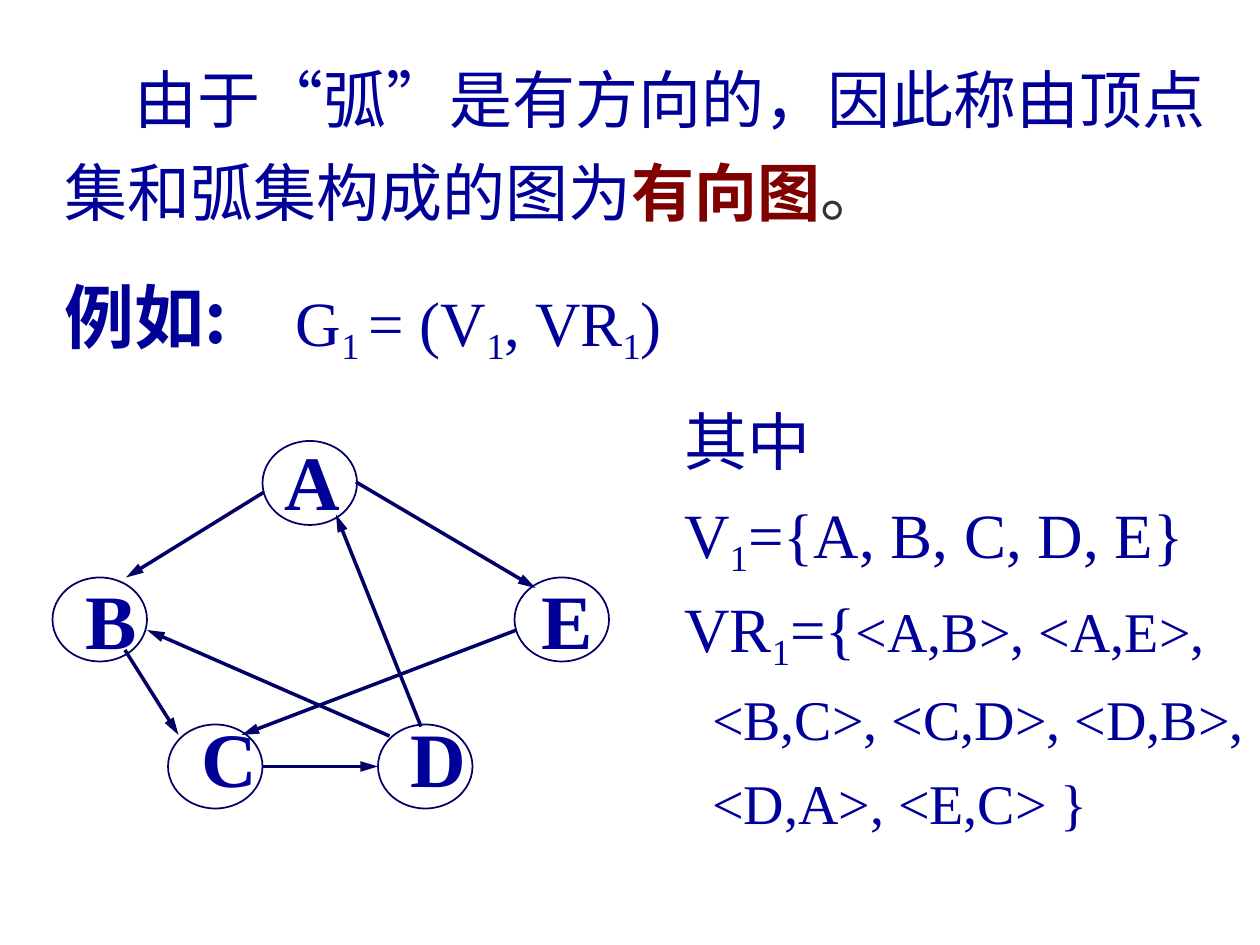
import pptx
import pptx.dml.color
import pptx.enum.shapes
import pptx.enum.text
import pptx.oxml
import pptx.oxml.ns
import pptx.util

COLORS = {"text": "000099", "line": "000066", "term": "800000", "stop": "333333"}
HAN = "Noto Sans CJK SC"
ROMAN = "Times New Roman"
COLUMNS, ROWS = 120, 90
NODE_WIDTH, NODE_HEIGHT = 9, 8


def color(name):
    return pptx.dml.color.RGBColor.from_string(COLORS[name])


def add_xml(parent, tag, **values):
    child = pptx.oxml.parse_xml(f"<{tag} {pptx.oxml.ns.nsdecls('a')}/>")
    for name, value in values.items():
        child.set(name, value)
    parent.append(child)


class GraphSlide:
    def __init__(self, deck):
        self.slide = deck.slides.add_slide(deck.slide_layouts[6])
        self.column = deck.slide_width / COLUMNS
        self.row = deck.slide_height / ROWS

    def place(self, *lengths):
        units = (self.column, self.row, self.column, self.row)
        return [pptx.util.Emu(round(length * unit)) for length, unit in zip(lengths, units)]

    def text(self, at, paragraphs, top=0.01):
        box = self.slide.shapes.add_textbox(*self.place(*at))
        frame = box.text_frame
        settings = {
            "word_wrap": True,
            "auto_size": pptx.enum.text.MSO_AUTO_SIZE.SHAPE_TO_FIT_TEXT,
            "margin_left": 0,
            "margin_right": 0,
            "margin_top": pptx.util.Inches(top),
            "margin_bottom": 0,
        }
        for name, value in settings.items():
            setattr(frame, name, value)
        for index, (layout, spans) in enumerate(paragraphs):
            para = frame.paragraphs[0] if index == 0 else frame.add_paragraph()
            self.paragraph(para, spans, **layout)

    def paragraph(self, para, spans, left=0.01, first=0, **layout):
        properties = para._p.get_or_add_pPr()
        properties.set("marL", str(pptx.util.Inches(left)))
        properties.set("indent", str(pptx.util.Inches(first)))
        for name, value in layout.items():
            setattr(para, name, value)
        for text, style in spans:
            self.span(para, text, **style)

    def span(self, para, text, ink="text", gap=0, base=0, **style):
        span = para.add_run()
        span.text = text
        for name, value in style.items():
            setattr(span.font, name, value)
        span.font.color.rgb = color(ink)
        properties = span._r.get_or_add_rPr()
        for name, value in {"spc": gap * 100, "baseline": base * 1000}.items():
            if value:
                properties.set(name, str(round(value)))
        add_xml(properties, "a:ea", typeface=style["name"])

    def node(self, left, top, label, label_left, label_top):
        oval = self.slide.shapes.add_shape(
            pptx.enum.shapes.MSO_SHAPE.OVAL, *self.place(left, top, NODE_WIDTH, NODE_HEIGHT))
        oval.shadow.inherit = False
        oval.fill.background()
        oval.line.color.rgb = color("line")
        oval.line.width = pptx.util.Pt(1)
        style = {"name": ROMAN, "size": pptx.util.Pt(44), "bold": True}
        self.text((label_left, label_top, 5.6, 9.1), [({}, [(label, style)])])

    def arc(self, *ends):
        line = self.slide.shapes.add_connector(
            pptx.enum.shapes.MSO_CONNECTOR.STRAIGHT, *self.place(*ends))
        line.line.color.rgb = color("line")
        line.line.width = pptx.util.Pt(2)
        add_xml(line.line._get_or_add_ln(), "a:tailEnd", type="triangle", w="med", len="lg")
        add_xml(line._element.spPr, "a:effectLst")


def main():
    deck = pptx.Presentation()
    deck.slide_width, deck.slide_height = pptx.util.Inches(10), pptx.util.Inches(7.5)
    graph = GraphSlide(deck)

    han = {"name": HAN, "size": pptx.util.Pt(36)}
    roman = {"name": ROMAN, "size": pptx.util.Pt(36)}
    small = {"name": ROMAN, "size": pptx.util.Pt(32)}
    index = {**roman, "base": -21}
    heading = {"name": HAN, "size": pptx.util.Pt(40), "bold": True}

    graph.text((6, 4, 109.1, 18.1), [({"first": 0.56, "line_spacing": 1.23}, [
        ("由于“弧”是有方向的，因此称由顶点 集和弧集构成的图为", han),
        ("有向图", {**han, "ink": "term", "gap": 0.1, "bold": True}),
        ("。", {**han, "ink": "stop"}),
    ])])

    for node in (
        (25, 42, "A", 27, 41.2),
        (5, 55, "B", 8, 54.4),
        (49, 55, "E", 51.5, 54.4),
        (16, 69, "C", 19.1, 67.6),
        (36, 69, "D", 39, 67.6),
    ):
        graph.node(*node)

    for ends in (
        (25.1, 46.9, 12, 55),
        (33.9, 45.9, 51, 56),
        (11.9, 61.9, 17, 70),
        (25, 73, 36, 73),
        (40.1, 69.2, 32, 49),
        (37.1, 70.1, 14, 60),
        (49.2, 60, 23, 70),
    ):
        graph.arc(*ends)

    graph.text((6, 25.9, 17, 8.3), [({}, [("例如", heading), (":", {**heading, "gap": 8.6})])])
    graph.text((27.7, 26.9, 37.3, 7.6), [({"left": 0.04}, [
        ("G", roman), ("1 ", index), ("= (V", roman), ("1", index),
        (", VR", roman), ("1", index), (")", roman),
    ])])
    graph.text((64.7, 36.4, 54.4, 43.4), [
        ({"left": 0.04}, [("其中", han)]),
        ({"left": 0.04, "line_spacing": pptx.util.Pt(54), "space_before": pptx.util.Pt(3.6)}, [
            ("V", roman), ("1", index), ("={A, B, C, D, E} VR", roman), ("1", index),
            ("={", roman), ("<A,B>, <A,E>,", small),
        ]),
        ({"left": 0.26, "space_before": pptx.util.Pt(6.7)}, [("<B,C>, <C,D>, <D,B>,", small)]),
        ({"left": 0.26, "space_before": pptx.util.Pt(9.6)}, [("<D,A>, <E,C> }", small)]),
    ], top=0.16)

    deck.save("out.pptx")


if __name__ == "__main__":
    main()
